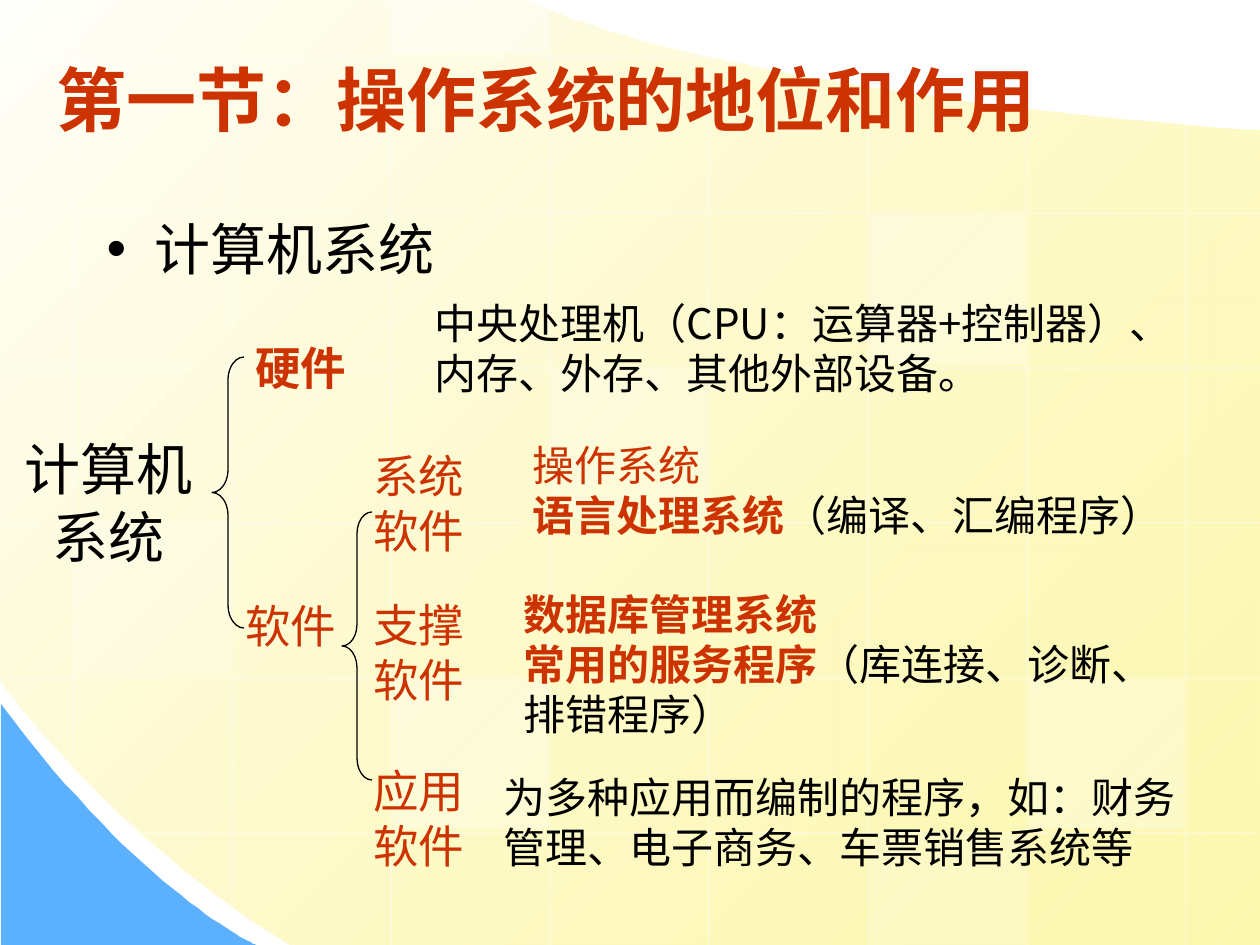
import pptx
import pptx.dml.color
import pptx.enum.shapes
import pptx.enum.text
import pptx.oxml
import pptx.oxml.ns
import pptx.util
from lxml import etree

RGBColor = pptx.dml.color.RGBColor
RED = RGBColor(0xCC, 0x33, 0x00)
BLACK = RGBColor(0, 0, 0)
WHITE = RGBColor(0xFF, 0xFF, 0xFF)
CREAM = RGBColor(0xFF, 0xFF, 0xFB)
YELLOW = RGBColor(0xFD, 0xF5, 0x8D)
BLUE = RGBColor(0x5C, 0xB1, 0xFE)

SCALE = 914400 / 126
CJK_FONT = "Noto Sans CJK SC"
SERIF = "Times New Roman"
SANS = "Arial"
MIDDLE = pptx.enum.text.MSO_ANCHOR.MIDDLE
TOP = pptx.enum.text.MSO_ANCHOR.TOP
LEFT = pptx.enum.text.PP_ALIGN.LEFT
CENTER = pptx.enum.text.PP_ALIGN.CENTER
qn = pptx.oxml.ns.qn


def px(value):
    return pptx.util.Emu(round(value * SCALE))


def set_values(target, values):
    for name, value in values.items():
        setattr(target, name, value)


def set_alpha(colour_element, percent):
    etree.SubElement(colour_element, qn("a:alpha"), val=str(percent * 1000))


def add_text_shadow(run):
    effects = etree.SubElement(run.font.fill._xPr, qn("a:effectLst"))
    run.font.fill._xPr.find(qn("a:solidFill")).addnext(effects)
    shadow = etree.SubElement(effects, qn("a:outerShdw"), dist="38100", dir="2700000")
    colour = etree.SubElement(shadow, qn("a:srgbClr"), val="C0C0C0")
    return colour


def write_text(shape, paragraphs, size, font=SANS, align=LEFT, anchor=TOP,
               wrap=True, leading=1.2, shadow=False):
    """Fill a shape; each paragraph is a list of (text, colour, bold) runs."""
    frame = shape.text_frame
    set_values(frame, {"word_wrap": wrap, "vertical_anchor": anchor,
                       "auto_size": pptx.enum.text.MSO_AUTO_SIZE.NONE})
    for index, runs in enumerate(paragraphs):
        paragraph = frame.add_paragraph() if index else frame.paragraphs[0]
        set_values(paragraph, {"alignment": align, "space_before": pptx.util.Pt(0),
                               "line_spacing": pptx.util.Pt(size * leading)})
        for text, colour, bold in runs:
            run = paragraph.add_run()
            run.text = text
            set_values(run.font, {"size": pptx.util.Pt(size), "bold": bold})
            run.font.color.rgb = colour
            if shadow:
                add_text_shadow(run)
            run.font.name = font
            latin = run.font._element.find(qn("a:latin"))
            latin.addnext(latin.makeelement(qn("a:ea"), {"typeface": CJK_FONT}))


def add_label(slide, box, paragraphs, size, **style):
    shape = slide.shapes.add_textbox(*map(px, box))
    write_text(shape, paragraphs, size, **style)


def curve(start, first, second, end, steps=32):
    """Points along a cubic Bezier curve, without its start."""
    return [tuple((1 - t) ** 3 * a + 3 * (1 - t) ** 2 * t * b
                  + 3 * (1 - t) * t ** 2 * c + t ** 3 * d
                  for a, b, c, d in zip(start, first, second, end))
            for t in (step / steps for step in range(1, steps + 1))]


def add_outline(slide, origin, points):
    placed = [(origin[0] + x, origin[1] + y) for x, y in points]
    builder = slide.shapes.build_freeform(*placed[0], scale=SCALE)
    builder.add_line_segments(placed[1:], close=True)
    shape = builder.convert_to_shape()
    shape.shadow.inherit = False
    shape.line.fill.background()
    return shape


def add_background(slide, box):
    left, top, width, height = box
    sheet = add_outline(
        slide, (left, top),
        [(width, 131), (width, height), (290, height)]
        + curve((290, height), (108, 833), (-1, 679), (0, 679))
        + [(-1, -1), (530, 1)]
        + curve((530, 1), (530, 1), (677, 87), (width, 131)))
    sheet.fill.gradient()
    sheet.fill.gradient_angle = 315
    for stop, colour, position in zip(sheet.fill.gradient_stops, (CREAM, YELLOW), (0, 1)):
        stop.color.rgb = colour
        stop.position = position
    set_alpha(list(sheet.element.iter(qn("a:srgbClr")))[-1], 70)

    corner = add_outline(slide, (left, top),
                         [(1, 704), (1, height), (256, height)]
                         + curve((256, height), (256, height), (141, 893), (1, 704)))
    corner.fill.solid()
    corner.fill.fore_color.rgb = BLUE
    add_grid(slide, box)


def add_grid(slide, box):
    left, top, width, height = box
    first_x, step_x, first_y, step_y = 73, 159, 58, 155
    column_spans = [(0, 767), (0, 906), (0, height), (0, height),
                    (54, height), (86, height), (107, height), (123, height)]
    row_spans = [(0, 716)] + [(0, width)] * 4 + [(140, 1256)]
    lines = [(first_x + step_x * i, start, first_x + step_x * i, end)
             for i, (start, end) in enumerate(column_spans)]
    lines += [(start, first_y + step_y * i, end, first_y + step_y * i)
              for i, (start, end) in enumerate(row_spans)]
    for x1, y1, x2, y2 in lines:
        line = slide.shapes.add_connector(
            pptx.enum.shapes.MSO_CONNECTOR.STRAIGHT,
            px(left + x1), px(top + y1), px(left + x2), px(top + y2))
        line.line.width = pptx.util.Pt(0.75)
        line.line.color.rgb = WHITE
        set_alpha(next(line.element.iter(qn("a:srgbClr"))), 50)
        etree.SubElement(line.element.spPr, qn("a:effectLst"))

    tiles = [(3, 2, 25), (6, 4, 30), (0, 3, 20), (5, 5, 20),
             (2, -1, 40), (2, 4, 30), (5, 1, 30)]
    for column, row, opacity in tiles:
        tile_top = first_y + step_y * row + 2
        start, end = max(0, tile_top), min(height, tile_top + 149)
        tile = slide.shapes.add_shape(
            pptx.enum.shapes.MSO_SHAPE.RECTANGLE,
            px(left + first_x + step_x * column + 2), px(top + start),
            px(155), px(end - start))
        tile.shadow.inherit = False
        tile.line.fill.background()
        tile.fill.solid()
        tile.fill.fore_color.rgb = WHITE
        set_alpha(next(tile.element.iter(qn("a:srgbClr"))), opacity)


def place_placeholder(slide, shape, box):
    """Move a placeholder into its box, in front of the background."""
    slide.shapes.element.append(shape.element)
    set_values(shape, dict(zip(("left", "top", "width", "height"), map(px, box))))


def add_brace(slide, box):
    brace = slide.shapes.add_shape(pptx.enum.shapes.MSO_SHAPE.LEFT_BRACE, *map(px, box))
    brace.adjustments[0] = 0.72
    brace.shadow.inherit = False
    brace.fill.background()
    brace.line.color.rgb = BLACK
    brace.line.width = pptx.util.Pt(0.75)


def add_system_tree(slide, box):
    left, top = box[:2]
    add_label(slide, (left, top + 155, 208, 106),
              [[("计算机", BLACK, False)], [("系统", BLACK, False)]],
              32, align=CENTER, anchor=MIDDLE, wrap=False)
    add_brace(slide, (left + 207, top + 63, 32, 271))
    add_label(slide, (left + 228, top + 297, 108, 68), [[("软件", RED, False)]],
              26, font=CJK_FONT, anchor=MIDDLE, wrap=False)
    add_label(slide, (left + 238, top + 40, 118, 68), [[("硬件", RED, True)]],
              26, shadow=True)
    add_label(slide, (left + 417, top, 745, 107),
              [[("中央处理机（CPU：运算器+控制器）、", BLACK, False)],
               [("内存、外存、其他外部设备。", BLACK, False)]],
              24, font=CJK_FONT, anchor=MIDDLE, wrap=False)


def add_software_tree(slide, box):
    left, top = box[:2]
    add_brace(slide, (left, top + 70, 30, 268))
    for text, y, width in (("系统软件", 0, 160), ("支撑软件", 149, 129),
                           ("应用软件", 315, 129)):
        add_label(slide, (left + 19, top + y, width, 122), [[(text, RED, False)]],
                  26, font=SERIF)
    add_label(slide, (left + 178, top - 9, 669, 113),
              [[("操作系统", RED, False)],
               [("语言处理系统", RED, True), ("（编译、汇编程序）", BLACK, False)]], 24)
    add_label(slide, (left + 169, top + 140, 669, 164),
              [[("数据库管理系统", RED, True)],
               [("常用的服务程序", RED, True),
                ("（库连接、诊断、 排错程序）", BLACK, False)]], 24)
    add_label(slide, (left + 149, top + 323, 735, 113),
              [[("为多种应用而编制的程序，如：财务管理、电子商务、车票销售系统等",
                 BLACK, False)]], 24, font=SERIF)


def main():
    presentation = pptx.Presentation()
    presentation.slide_width, presentation.slide_height = px(1260), px(945)
    slide = presentation.slides.add_slide(presentation.slide_layouts[1])
    title, body = slide.placeholders
    add_background(slide, (0, 0, 1260, 945))

    place_placeholder(slide, title, (44, 35, 1134, 127))
    write_text(title, [[("第一节：操作系统的地位和作用", RED, True)]], 40, anchor=MIDDLE)
    place_placeholder(slide, body, (94, 175, 779, 59))
    write_text(body, [[("计算机系统", BLACK, False)]], 32, leading=1.8)
    properties = body.text_frame.paragraphs[0]._p.get_or_add_pPr()
    set_values(properties, {})
    properties.set("marL", str(px(48)))
    properties.set("indent", str(px(-48)))

    add_system_tree(slide, (5, 294, 1162, 366))
    add_software_tree(slide, (342, 442, 884, 437))
    presentation.save("out.pptx")


if __name__ == "__main__":
    main()
